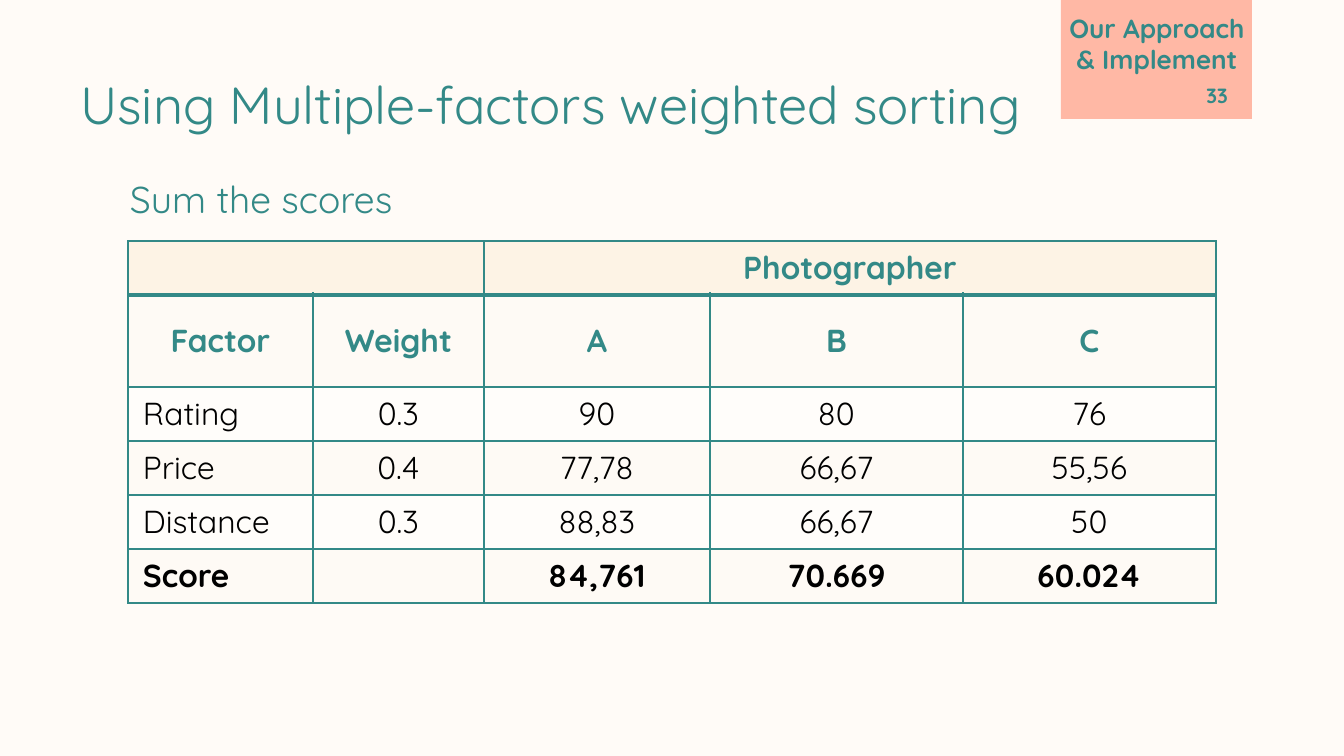
from lxml import etree
from pptx import Presentation
from pptx.dml.color import RGBColor
from pptx.enum.shapes import MSO_SHAPE
from pptx.enum.text import MSO_ANCHOR, MSO_AUTO_SIZE, PP_ALIGN
from pptx.oxml.ns import qn
from pptx.util import Pt

PX = 914400 / 134.4
FONT = "Quicksand"
TEAL = RGBColor(0x33, 0x89, 0x87)
BLACK = RGBColor(0x00, 0x00, 0x00)
CORAL = RGBColor(0xFF, 0xB8, 0xA5)
CREAM = RGBColor(0xFF, 0xFB, 0xF7)
HEADER_FILL = RGBColor(0xFD, 0xF3, 0xE5)
ROW_FILLS = [RGBColor(0xFE, 0xFA, 0xF5), RGBColor(0xFF, 0xFD, 0xFA)]
LEFT, CENTER, RIGHT = PP_ALIGN.LEFT, PP_ALIGN.CENTER, PP_ALIGN.RIGHT
TOP, MIDDLE, BOTTOM = MSO_ANCHOR.TOP, MSO_ANCHOR.MIDDLE, MSO_ANCHOR.BOTTOM
RECTANGLE, NO_AUTOFIT = MSO_SHAPE.RECTANGLE, MSO_AUTO_SIZE.NONE


def px(*lengths):
    """Turn pixel lengths into EMU."""
    return [round(length * PX) for length in lengths]


def write(text_frame, text, size, color=TEAL, bold=False, align=LEFT):
    text_frame.text = text
    paragraph = text_frame.paragraphs[0]
    paragraph.alignment = align
    font = paragraph.font
    font.name, font.size, font.bold = FONT, Pt(size), bold
    font.color.rgb = color
    return paragraph


presentation = Presentation()
presentation.slide_width, presentation.slide_height = px(1344, 756)
slide = presentation.slides.add_slide(presentation.slide_layouts[5])
slide.background.fill.solid()
slide.background.fill.fore_color.rgb = CREAM

# Section tab, with the section title placed in front of it
tab = slide.shapes.add_shape(RECTANGLE, *px(1061, 0, 191, 119))
tab.shadow.inherit = False
tab.fill.solid()
tab.fill.fore_color.rgb = CORAL
tab.line.fill.background()

section = slide.shapes.title
section.left, section.top, section.width, section.height = px(1052, 17, 210, 71)
tab.element.addnext(section.element)
write(section.text_frame, "Our Approach & Implement", 14, bold=True, align=CENTER)
section.text_frame.vertical_anchor = BOTTOM

heading = slide.shapes.add_textbox(*px(67, 66, 1132, 77))
write(heading.text_frame, "Using Multiple-factors weighted sorting", 28)

subtitle = slide.shapes.add_textbox(*px(94, 156, 1145, 70))
paragraph = write(subtitle.text_frame, "Sum the scores", 20)
paragraph.line_spacing = 1.15

page_number = slide.shapes.add_textbox(*px(1160, 70, 81, 58))
write(page_number.text_frame, "33", 11, bold=True, align=RIGHT)

for shape in (section, subtitle, page_number):
    frame = shape.text_frame
    frame.margin_left, frame.margin_top, frame.margin_right, frame.margin_bottom = px(13, 13, 13, 13)
subtitle.text_frame.margin_left = px(36)[0]
for shape in (section, heading, subtitle, page_number):
    shape.text_frame.word_wrap = True
    shape.text_frame.auto_size = NO_AUTOFIT

# Score table
ROWS = [
    ["", "", "Photographer", "", ""],
    ["Factor", "Weight", "A", "B", "C"],
    ["Rating", "0.3", "90", "80", "76"],
    ["Price", "0.4", "77,78", "66,67", "55,56"],
    ["Distance", "0.3", "88,83", "66,67", "50"],
    ["Score", "", "84,761", "70.669", "60.024"],
]
COLUMN_WIDTHS = px(185, 171, 226, 253, 253)
ROW_HEIGHTS = px(54, 92, 54, 54, 54, 54)
LAST_ROW = len(ROWS) - 1

frame = slide.shapes.add_table(
    len(ROWS), len(COLUMN_WIDTHS), *px(128, 241), sum(COLUMN_WIDTHS), sum(ROW_HEIGHTS)
)
table = frame.table
for column, width in zip(table.columns, COLUMN_WIDTHS):
    column.width = width
for row, height in zip(table.rows, ROW_HEIGHTS):
    row.height = height
table.cell(0, 0).merge(table.cell(0, 1))
table.cell(0, 2).merge(table.cell(0, 4))

for row_index, row in enumerate(ROWS):
    for column_index, text in enumerate(row):
        cell = table.cell(row_index, column_index)
        is_heading = row_index < 2
        write(
            cell.text_frame,
            text,
            17,
            color=TEAL if is_heading else BLACK,
            bold=is_heading or row_index == LAST_ROW,
            align=CENTER if is_heading or column_index else LEFT,
        )
        cell.vertical_anchor = MIDDLE if row_index == 1 else TOP
        cell.margin_left, cell.margin_right = px(15, 15)
        cell.margin_top, cell.margin_bottom = px(7, 7)

        properties = cell._tc.get_or_add_tcPr()
        for side in ("lnL", "lnR", "lnT", "lnB"):
            is_thick = (row_index, side) in [(0, "lnB"), (1, "lnT")]
            border = etree.SubElement(properties, qn(f"a:{side}"), w=str(Pt(3 if is_thick else 1)))
            border_fill = etree.SubElement(border, qn("a:solidFill"))
            etree.SubElement(border_fill, qn("a:srgbClr"), val=str(TEAL))
        cell.fill.solid()
        cell.fill.fore_color.rgb = ROW_FILLS[(row_index + 1) % 2] if row_index else HEADER_FILL

presentation.save("out.pptx")
